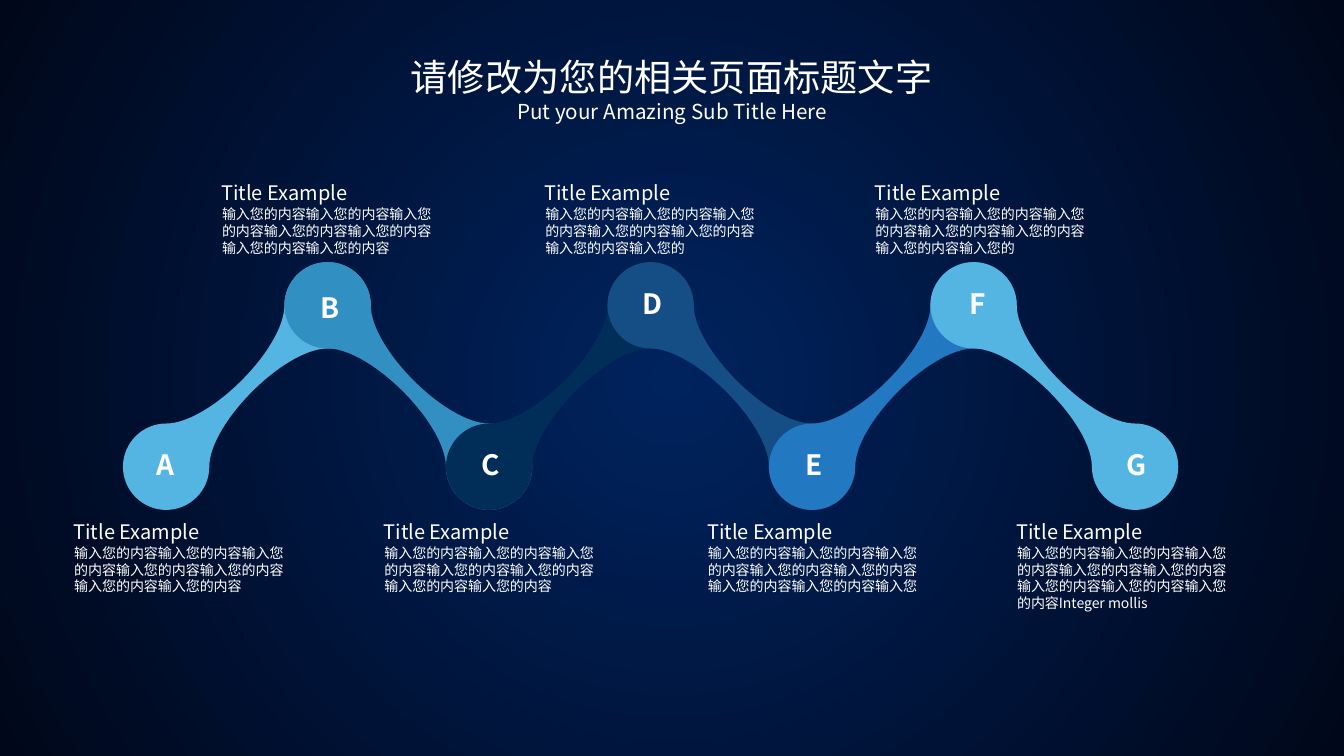
import pptx
import pptx.dml.color
import pptx.enum.text
import pptx.oxml
import pptx.oxml.ns
import pptx.util
from lxml import etree

Pt = pptx.util.Pt
qn = pptx.oxml.ns.qn
Align = pptx.enum.text.PP_ALIGN
Anchor = pptx.enum.text.MSO_ANCHOR
Fit = pptx.enum.text.MSO_AUTO_SIZE

STEP, RADIUS = 115.35, 30.85
FIRST, HIGH, LOW = 118.7, 218.1, 333.4
ARC = 0.55
FILL = "输入您的内容"

# letter, link colour, letter (left, top, width), text left, body
STOPS = [
    ("A", "55B5E2", (107.3, 315.4, 23), 53, FILL * 7),
    ("B", "328FC1", (224.6, 203, 21.6), 158.6, FILL * 7),
    ("C", "002E59", (339.1, 315.4, 21.6), 274.6, FILL * 7),
    ("D", "144E84", (454.3, 200.2, 24.5), 389.5, FILL * 6 + "输入您的"),
    ("E", "2378C2", (571, 315.4, 19.4), 505.6, FILL * 7 + "输入您"),
    ("F", "55B5E2", (688.3, 200.2, 19.4), 625.3, FILL * 6 + "输入您的"),
    ("G", None, (799.9, 315.4, 23.8), 726.5, FILL * 8 + "Integer mollis"),
]


def hue(code):
    return pptx.dml.color.RGBColor.from_string(code)


def arc(start, end, mid):
    """Control points and end of a quarter circle about mid."""
    edge = [s + e - m for s, e, m in zip(start, end, mid)]
    bend = [tuple(p + ARC * (c - p) for p, c in zip(point, edge))
            for point in (start, end)]
    return [*bend, end]


class Deck:
    font, ink = "Noto Sans CJK SC", "FFFFFF"

    def __init__(self, file):
        self.slide = file.slides.add_slide(file.slide_layouts[6])

    def glow(self, inner, outer):
        """Circular gradient background."""
        fill = self.slide.background.fill
        fill.gradient()
        for stop, code, place in zip(fill.gradient_stops, (inner, outer), (0, 1)):
            stop.color.rgb = hue(code)
            stop.position = place
        grad = next(self.slide._element.iter(qn("a:gradFill")))
        for line in grad.findall(qn("a:lin")):
            grad.remove(line)
        ring = etree.SubElement(grad, qn("a:path"), {"path": "circle"})
        sides = dict.fromkeys("ltrb", "50000")
        etree.SubElement(ring, qn("a:fillToRect"), sides)

    def text(self, words, box, size, align=Align.LEFT, bold=False,
             wrap=True, inset=0, anchor=Anchor.TOP):
        frame = self.slide.shapes.add_textbox(*map(Pt, box)).text_frame
        style = {"word_wrap": wrap, "auto_size": Fit.SHAPE_TO_FIT_TEXT,
                 "vertical_anchor": anchor}
        for side in ("left", "top", "right", "bottom"):
            style["margin_" + side] = Pt(inset)
        for key, value in style.items():
            setattr(frame, key, value)
        para = frame.paragraphs[0]
        para.alignment = align
        run = para.add_run()
        run.text = words
        for key, value in {"size": Pt(size), "bold": bold, "name": self.font}.items():
            setattr(run.font, key, value)
        run.font.color.rgb = hue(self.ink)
        latin = run._r.rPr.find(qn("a:latin"))
        latin.addnext(latin.makeelement(qn("a:ea"), {"typeface": self.font}))

    def curve(self, start, points, code):
        """Closed outline of cubic curves, three points to each."""
        spots = [(Pt(x), Pt(y)) for x, y in points]
        pen = self.slide.shapes.build_freeform(Pt(start[0]), Pt(start[1]))
        pen.add_line_segments(spots, close=True)
        shape = pen.convert_to_shape()
        shape.shadow.inherit = False
        shape.fill.solid()
        shape.fill.fore_color.rgb = hue(code)
        shape.line.fill.background()
        lines = list(shape._element.iter(qn("a:lnTo")))
        for i in range(0, len(lines), 3):
            cubic = lines[i].makeelement(qn("a:cubicBezTo"))
            lines[i].addprevious(cubic)
            for line in lines[i:i + 3]:
                cubic.append(line[0])
                line.getparent().remove(line)

    def link(self, a, b, code):
        """Two discs, centred at a and b, joined by a curved neck."""
        r = RADIUS
        turn = r if b[1] > a[1] else -r
        (ax, ay), (bx, by) = a, b
        near = [(ax, ay + turn), (ax - r, ay), (ax, ay - turn), (ax + r, ay)]
        far = [(bx, by - turn), (bx + r, by), (bx, by + turn), (bx - r, by)]
        neck = [(ax + r, ay + turn), (bx - r, by - turn)]
        points = []
        for ring, mid, bend, goal in ((near, a, neck, far[0]),
                                      (far, b, neck[::-1], near[0])):
            for start, end in zip(ring, ring[1:]):
                points += arc(start, end, mid)
            points += [*bend, goal]
        self.curve(near[0], points, code)


def main():
    file = pptx.Presentation()
    file.slide_width, file.slide_height = Pt(960), Pt(540)
    deck = Deck(file)
    deck.glow("00235E", "00071A")
    deck.text("请修改为您的相关页面标题文字", (196.6, 38.9, 566.6, 32.4), 26.6, Align.CENTER)
    deck.text("Put your Amazing Sub Title Here", (278.6, 70.6, 403.2, 18), 14.7, Align.CENTER)

    mids = [(FIRST + i * STEP, HIGH if i % 2 else LOW) for i in range(len(STOPS))]
    for a, b, stop in zip(mids, mids[1:], STOPS):
        deck.link(a, b, stop[1])
    for i, (letter, _, (left, top, wide), edge, body) in enumerate(STOPS):
        deck.text(letter, (left, top, wide, 32.4), 20, bold=True,
                  wrap=False, inset=4.5, anchor=Anchor.MIDDLE)
        head = 128.9 if i % 2 else 370.8
        deck.text("Title Example", (edge - 0.5, head, 151.2, 17.3), 14.3)
        deck.text(body, (edge, head + 18, 150.5, 36), 10)
    file.save("out.pptx")


if __name__ == "__main__":
    main()
